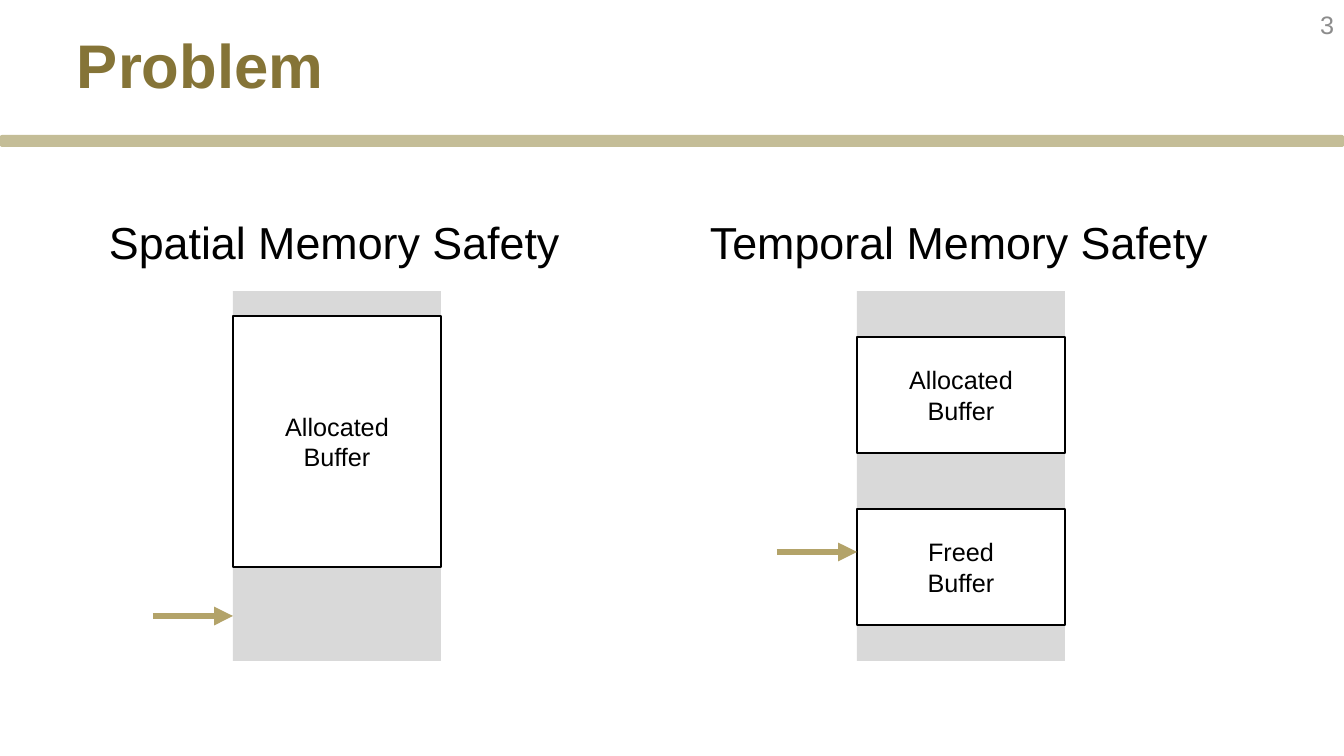
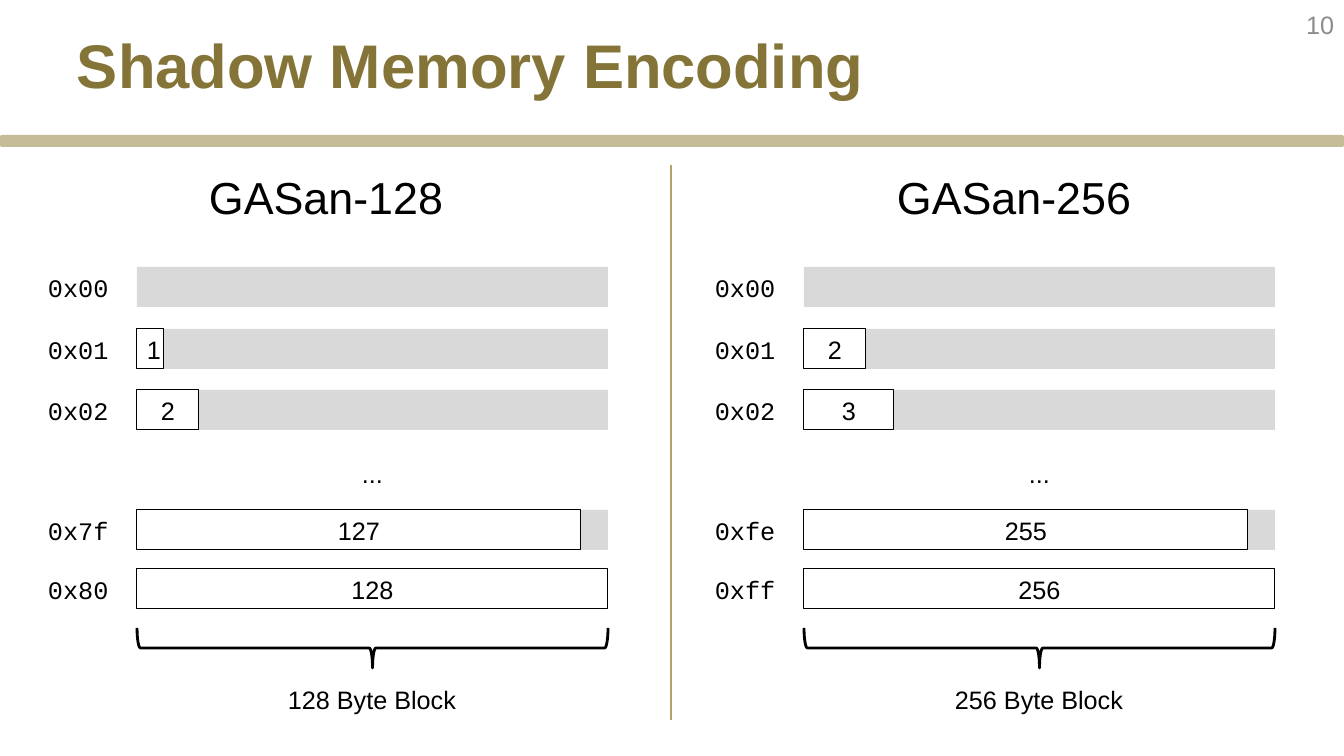
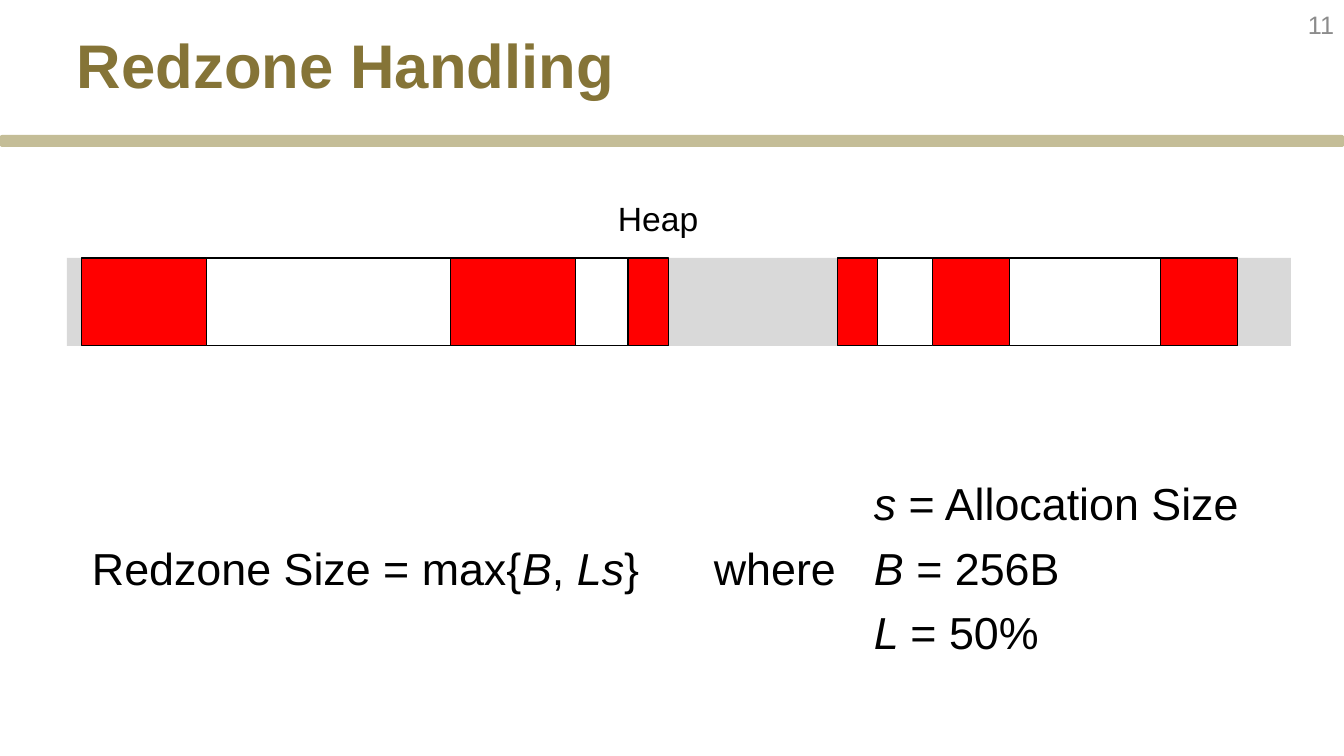
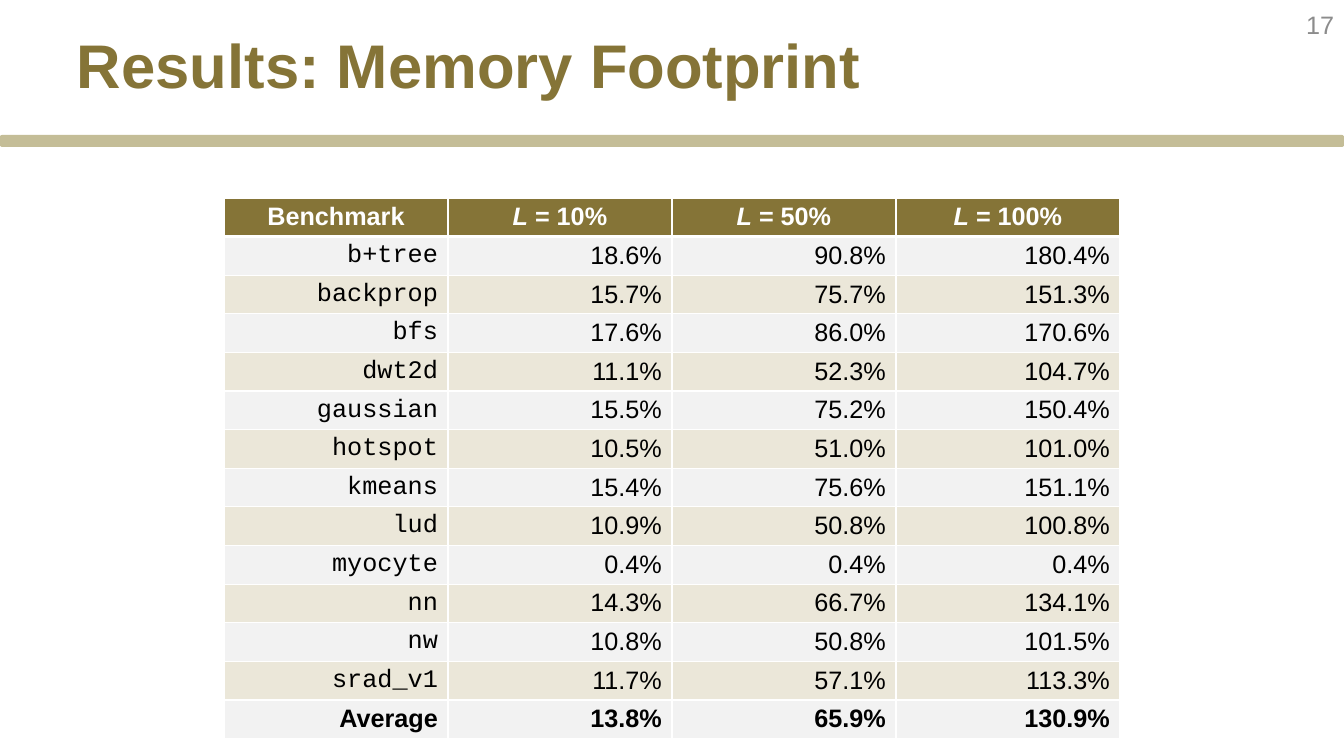
from dataclasses import dataclass

from lxml.etree import SubElement
from pptx import Presentation
from pptx.dml.color import RGBColor
from pptx.enum.shapes import MSO_CONNECTOR, MSO_SHAPE
from pptx.enum.text import MSO_ANCHOR, MSO_AUTO_SIZE, PP_ALIGN
from pptx.oxml.ns import qn
from pptx.util import Emu, Pt

SLIDE_W, SLIDE_H = 1344, 756
EMU_PER_PX = 12192000 / SLIDE_W

SANS, MONO = "Arial", "Courier New"
BLACK, WHITE, GREY, RED = "000000", "FFFFFF", "D9D9D9", "FF0000"
TITLE_GOLD, BAND_GOLD, LINE_GOLD = "857437", "C4BD97", "B3A369"
NUMBER_GREY = "8C8C8C"
ROW_FILLS = ("F2F2F2", "EBE7D9")


@dataclass(frozen=True)
class Span:
    text: str
    italic: bool = False


@dataclass(frozen=True)
class Buffer:
    lines: str
    top: int
    height: int


@dataclass(frozen=True)
class SafetyPanel:
    heading: str
    heading_left: int
    heading_width: int
    left: int
    buffers: tuple[Buffer, ...]
    arrow_y: int


@dataclass(frozen=True)
class EncodingRow:
    code: str
    top: int
    used: str = ""
    used_width: int = 0


@dataclass(frozen=True)
class EncodingPanel:
    size: int
    heading_left: int
    left: int
    rows: tuple[EncodingRow, ...]


@dataclass(frozen=True)
class Allocation:
    """A heap buffer with the widths of the redzones before and after it."""
    left: int
    width: int
    before: int
    after: int


def px(n: float) -> Emu:
    return Emu(round(n * EMU_PER_PX))


def rgb(value: str) -> RGBColor:
    return RGBColor.from_string(value)


def format_font(font, size: float, color: str = BLACK, name: str = SANS, bold: bool = False) -> None:
    font.name, font.size, font.bold = name, Pt(size), bold
    font.color.rgb = rgb(color)


def write_spans(p, spans: tuple[Span, ...], size: float, color: str = BLACK,
                name: str = SANS, bold: bool = False) -> None:
    for span in spans:
        r = p.add_run()
        r.text = span.text
        format_font(r.font, size, color, name, bold)
        r.font.italic = span.italic


def add_label(s, x: float, y: float, w: int, h: int, *spans: Span, size: float = 18, name: str = SANS):
    """Add a one-line text box that fits its text."""
    tf = s.shapes.add_textbox(px(x), px(y), px(w), px(h)).text_frame
    tf.word_wrap = False
    tf.auto_size = MSO_AUTO_SIZE.SHAPE_TO_FIT_TEXT
    write_spans(tf.paragraphs[0], spans, size, name=name)
    return tf


def add_box(s, x: float, y: float, w: int, h: int, fill: str | None, line: float = 0,
            text: str = "", shape: MSO_SHAPE = MSO_SHAPE.RECTANGLE):
    sp = s.shapes.add_shape(shape, px(x), px(y), px(w), px(h))
    sp.shadow.inherit = False
    if fill:
        sp.fill.solid()
        sp.fill.fore_color.rgb = rgb(fill)
    else:
        sp.fill.background()
    if line:
        sp.line.color.rgb = rgb(BLACK)
        sp.line.width = Pt(line)
    else:
        sp.line.fill.background()
    if text:
        tf = sp.text_frame
        tf.text = text
        tf.vertical_anchor = MSO_ANCHOR.MIDDLE
        for p in tf.paragraphs:
            p.alignment = PP_ALIGN.CENTER
            for r in p.runs:
                format_font(r.font, 18)
    return sp


def add_line(s, x1: int, y1: int, x2: int, y2: int, width: float, arrow: bool = False) -> None:
    line = s.shapes.add_connector(MSO_CONNECTOR.STRAIGHT, px(x1), px(y1), px(x2), px(y2))
    line.line.color.rgb = rgb(LINE_GOLD)
    line.line.width = Pt(width)
    props = line.element.spPr
    if arrow:
        SubElement(props.find(qn("a:ln")), qn("a:tailEnd"), type="triangle")
    SubElement(props, qn("a:effectLst"))


def add_band(prs, layout) -> None:
    """Put the gold band on the layout, so every slide inherits it."""
    s = prs.slides[0]
    band = add_box(s, 0, 135, SLIDE_W, 12, BAND_GOLD, shape=MSO_SHAPE.ROUNDED_RECTANGLE)
    layout.shapes.element.append(band.element)


def new_slide(prs, layout, title: str, number: int):
    s = prs.slides.add_slide(layout)
    sp = s.shapes.title
    sp.left, sp.top, sp.width, sp.height = px(67), px(22), px(1132), px(126)
    tf = sp.text_frame
    tf.text = title
    tf.auto_size = MSO_AUTO_SIZE.NONE
    tf.vertical_anchor = MSO_ANCHOR.TOP
    tf.margin_left, tf.margin_top = px(10), px(5)
    p = tf.paragraphs[0]
    p.alignment = PP_ALIGN.LEFT
    format_font(p.runs[0].font, 44, TITLE_GOLD, bold=True)

    tf = s.shapes.add_textbox(px(1290), 0, px(54), px(48)).text_frame
    tf.word_wrap = True
    tf.text = str(number)
    tf.vertical_anchor = MSO_ANCHOR.MIDDLE
    p = tf.paragraphs[0]
    p.alignment = PP_ALIGN.RIGHT
    format_font(p.runs[0].font, 18, NUMBER_GREY)
    return s


def draw_safety_panel(s, panel: SafetyPanel) -> None:
    width, arrow_length = 208, 80
    add_box(s, panel.left, 291, width, 370, GREY)
    for buffer in panel.buffers:
        add_box(s, panel.left, buffer.top, width, buffer.height, WHITE, 1.5, buffer.lines)
    add_line(s, panel.left - arrow_length, panel.arrow_y, panel.left, panel.arrow_y, 4.5, arrow=True)
    add_label(s, panel.heading_left, 210, panel.heading_width, 64, Span(panel.heading), size=32)


def draw_encoding_panel(s, panel: EncodingPanel) -> None:
    width, height = 471, 40
    center = panel.left + width / 2
    add_label(s, panel.heading_left, 165, 256, 64, Span(f"GASan-{panel.size}"), size=32)
    for row in panel.rows:
        add_label(s, panel.left - 99, row.top, 82, height, Span(row.code), name=MONO)
        if row.used_width < width:
            add_box(s, panel.left, row.top, width, height, GREY)
        if row.used:
            add_box(s, panel.left, row.top, row.used_width, height, WHITE, 0.75, row.used)
    add_label(s, center - 20.5, 453, 41, height, Span("..."))
    brace = add_box(s, center - height / 2, 648 - width / 2, height, width, None, 2,
                    shape=MSO_SHAPE.RIGHT_BRACE)
    brace.rotation = 90
    add_label(s, center - 94.5, 679, 189, height, Span(f"{panel.size} Byte Block"))


def draw_heap(s) -> None:
    top, height = 258, 88
    add_box(s, 67, top, 1224, height, GREY)
    add_label(s, 608, 193, 102, 50, Span("Heap"), size=24)
    for a in (Allocation(207, 244, 125, 125), Allocation(576, 52, 0, 41),
              Allocation(1010, 151, 77, 77), Allocation(878, 55, 40, 0)):
        add_box(s, a.left, top, a.width, height, WHITE, 0.75)
        if a.before:
            add_box(s, a.left - a.before, top, a.before, height, RED, 0.75)
        if a.after:
            add_box(s, a.left + a.width, top, a.after, height, RED, 0.75)


def draw_formula(s) -> None:
    tf = add_label(s, 82, 536, 770, 64, Span("Redzone Size = max{"), Span("B", True), Span(", "),
                   Span("Ls", True), Span("}\twhere"), size=32)
    tabs = SubElement(tf.paragraphs[0]._p.get_or_add_pPr(), qn("a:tabLst"))
    SubElement(tabs, qn("a:tab"), pos=str(px(622)), algn="l")
    terms = (("s", " = Allocation Size", 389), ("B ", "= 256B", 208), ("L ", "= 50%", 186))
    for i, (symbol, meaning, width) in enumerate(terms):
        add_label(s, 864, 471 + 64.5 * i, width, 64, Span(symbol, True), Span(meaning), size=32)


def set_borders(cell, top: float = 1, bottom: float = 1) -> None:
    props = cell._tc.get_or_add_tcPr()
    edges = (("a:lnL", 1), ("a:lnR", 1), ("a:lnT", top), ("a:lnB", bottom))
    for i, (tag, width) in enumerate(edges):
        ln = SubElement(props, qn(tag), w=str(Pt(width)))
        fill = SubElement(ln, qn("a:solidFill"))
        SubElement(fill, qn("a:srgbClr"), val=WHITE)
        props.insert(i, ln)


def draw_footprint_table(s) -> None:
    limits = ("10%", "50%", "100%")
    footprints = (
        ("b+tree", 18.6, 90.8, 180.4),
        ("backprop", 15.7, 75.7, 151.3),
        ("bfs", 17.6, 86.0, 170.6),
        ("dwt2d", 11.1, 52.3, 104.7),
        ("gaussian", 15.5, 75.2, 150.4),
        ("hotspot", 10.5, 51.0, 101.0),
        ("kmeans", 15.4, 75.6, 151.1),
        ("lud", 10.9, 50.8, 100.8),
        ("myocyte", 0.4, 0.4, 0.4),
        ("nn", 14.3, 66.7, 134.1),
        ("nw", 10.8, 50.8, 101.5),
        ("srad_v1", 11.7, 57.1, 113.3),
        ("Average", 13.8, 65.9, 130.9),
    )
    header = [(Span("Benchmark"),)] + [(Span("L", True), Span(f" = {limit}")) for limit in limits]
    body = [[(Span(name),)] + [(Span(f"{v:.1f}%"),) for v in values] for name, *values in footprints]
    rows = [header] + body
    last = len(rows) - 1
    table = s.shapes.add_table(len(rows), len(header), px(224), px(198),
                               px(896), px(35 * len(rows))).table
    for i, row in enumerate(rows):
        for j, spans in enumerate(row):
            is_header = i == 0
            cell = table.cell(i, j)
            cell.margin_top, cell.margin_bottom = px(5), px(3.4)
            cell.fill.solid()
            cell.fill.fore_color.rgb = rgb(TITLE_GOLD if is_header else ROW_FILLS[(i - 1) % 2])
            set_borders(cell, top=3 if i == 1 else 1, bottom=3 if is_header else 1)
            p = cell.text_frame.paragraphs[0]
            p.alignment = PP_ALIGN.CENTER if is_header else PP_ALIGN.RIGHT
            write_spans(p, spans, 18, WHITE if is_header else BLACK,
                        MONO if j == 0 and 0 < i < last else SANS, i in (0, last))


def main() -> None:
    prs = Presentation()
    prs.slide_width, prs.slide_height = px(SLIDE_W), px(SLIDE_H)
    layout = prs.slide_layouts.get_by_name("Title Only")

    s = new_slide(prs, layout, "Problem", 3)
    add_band(prs, layout)
    for panel in (
        SafetyPanel("Spatial Memory Safety", 99, 475, 233,
                    (Buffer("Allocated\nBuffer", 316, 251),), 616),
        SafetyPanel("Temporal Memory Safety", 700, 522, 857,
                    (Buffer("Freed\nBuffer", 509, 116), Buffer("Allocated\nBuffer", 337, 116)), 552),
    ):
        draw_safety_panel(s, panel)

    s = new_slide(prs, layout, "Shadow Memory Encoding", 10)
    add_line(s, 671, 165, 671, 720, 2)
    for panel in (
        EncodingPanel(128, 199, 137, (
            EncodingRow("0x00", 267), EncodingRow("0x01", 329, "1", 27),
            EncodingRow("0x02", 390, "2", 62), EncodingRow("0x7f", 510, "127", 444),
            EncodingRow("0x80", 569, "128", 471))),
        EncodingPanel(256, 887, 804, (
            EncodingRow("0x00", 267), EncodingRow("0x01", 329, "2", 62),
            EncodingRow("0x02", 390, "3", 90), EncodingRow("0xfe", 510, "255", 444),
            EncodingRow("0xff", 569, "256", 471))),
    ):
        draw_encoding_panel(s, panel)

    s = new_slide(prs, layout, "Redzone Handling", 11)
    draw_heap(s)
    draw_formula(s)

    s = new_slide(prs, layout, "Results: Memory Footprint", 17)
    draw_footprint_table(s)

    prs.save("out.pptx")


if __name__ == "__main__":
    main()
